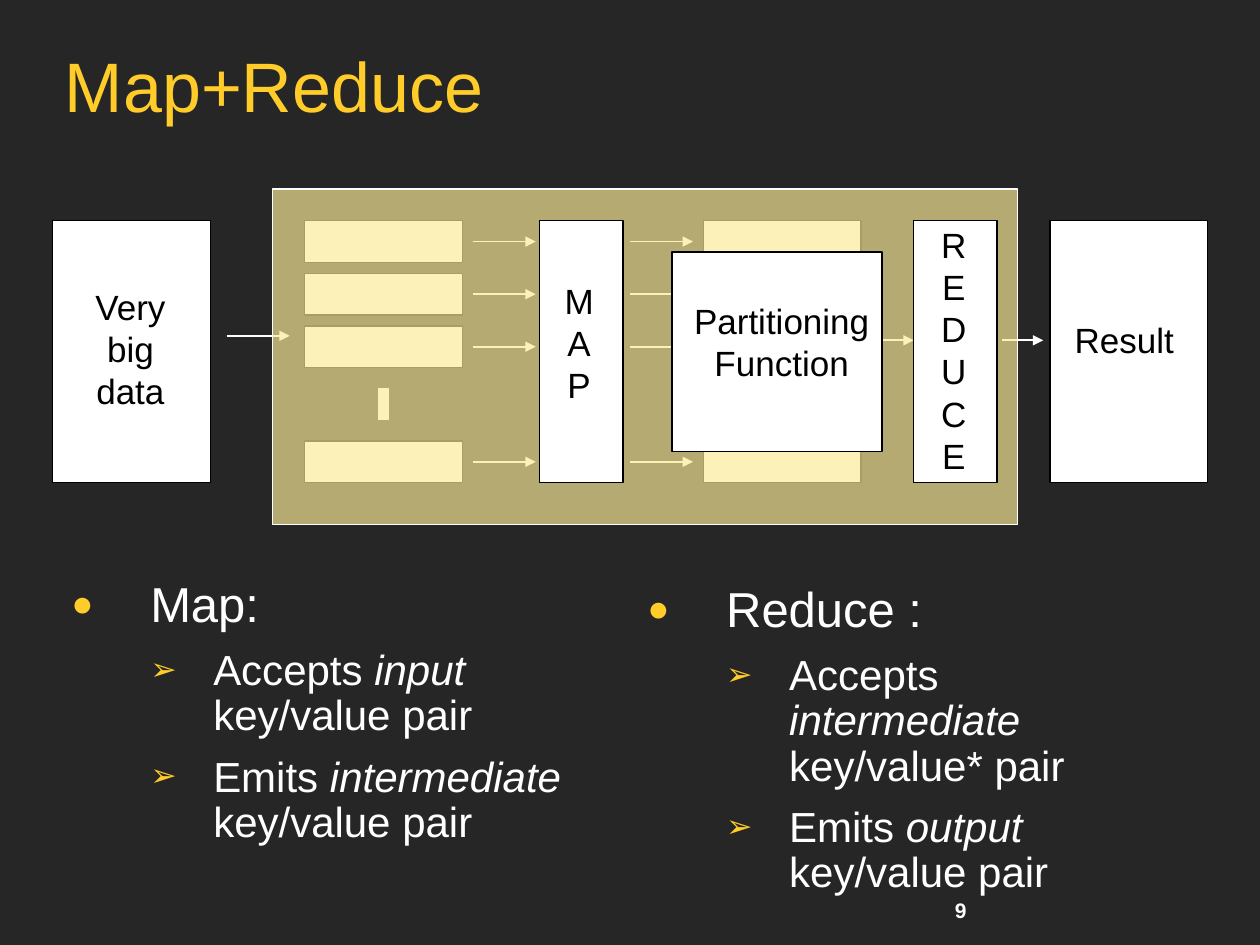
from lxml import etree
from pptx import Presentation
from pptx.dml.color import RGBColor
from pptx.enum.shapes import MSO_CONNECTOR, MSO_SHAPE
from pptx.enum.text import MSO_ANCHOR, PP_ALIGN
from pptx.oxml.ns import qn
from pptx.util import Cm, Pt

STRAIGHT = MSO_CONNECTOR.STRAIGHT
RECT = MSO_SHAPE.RECTANGLE
MIDDLE = MSO_ANCHOR.MIDDLE
CENTER = PP_ALIGN.CENTER

DARK = RGBColor(0x26, 0x26, 0x26)
GOLD = RGBColor(0xFF, 0xCC, 0x29)
CREAM = RGBColor(0xFC, 0xEB, 0x98)
WHITE = RGBColor(0xFF, 0xFF, 0xFF)
BLACK = RGBColor(0x00, 0x00, 0x00)
FONT = "Arial"


def style_run(r, size, color, bold=False, italic=False):
    r.font.name = FONT
    r.font.size = Pt(size)
    r.font.color.rgb = color
    r.font.bold = bold
    r.font.italic = italic


def add_text(slide, box, text, size, color, bold=False, wrap=True):
    tb = slide.shapes.add_textbox(*(Cm(v) for v in box))
    tf = tb.text_frame
    tf.word_wrap = wrap
    tf.text = text
    for p in tf.paragraphs:
        for r in p.runs:
            style_run(r, size, color, bold)
    return tf


def add_box(slide, x, y, w, h, fill=WHITE, line=BLACK):
    sp = slide.shapes.add_shape(RECT, Cm(x), Cm(y), Cm(w), Cm(h))
    sp.shadow.inherit = False
    sp.fill.solid()
    sp.fill.fore_color.rgb = fill
    sp.line.color.rgb = line
    sp.line.width = Pt(0.75)
    return sp


def add_line(slide, x1, y1, x2, y2, width=1, arrow=True):
    cn = slide.shapes.add_connector(STRAIGHT, Cm(x1), Cm(y1), Cm(x2), Cm(y2))
    cn.line.color.rgb = WHITE
    cn.line.width = Pt(width)
    if arrow:
        etree.SubElement(cn.line._get_or_add_ln(), qn("a:tailEnd"), type="triangle")
    etree.SubElement(cn._element.spPr, qn("a:effectLst"))


def add_label(slide, x, y, w, h, text):
    tf = add_text(slide, (x, y, w, h), text, 20, BLACK, wrap=False)
    for p in tf.paragraphs:
        p.alignment = CENTER


def add_title(slide, box, text):
    tf = add_text(slide, box, text, 40, GOLD)
    tf.vertical_anchor = MIDDLE
    tf.paragraphs[0].line_spacing = 0.9


def add_pipeline(slide, left, top):
    chunk_w, chunk_h, tall_top, tall_h = 3.18, 0.84, 0.64, 5.28
    rows = [tall_top + 1.06 * i for i in range(3)] + [5.08]
    split_x, merge_x = 5.08, 13.12

    add_box(slide, left, top + tall_top, chunk_w, tall_h)
    for y in rows:
        add_box(slide, left + split_x, top + y, chunk_w, chunk_h)
    bar_x = left + split_x + chunk_w / 2
    add_line(slide, bar_x, top + 4.02, bar_x, top + 4.66, 6, False)
    for y in (rows[0], rows[-1]):
        add_box(slide, left + merge_x, top + y, chunk_w, chunk_h)

    arrows = [(3.51, 2.96, 1.27)]
    arrows += [(x, y + chunk_h / 2, 1.27) for x in (8.47, 11.64) for y in rows]
    arrows += [(x, 3.05, 0.84) for x in (16.52, 19.13)]
    for x, y, length in arrows:
        add_line(slide, left + x, top + y, left + x + length, top + y)

    add_box(slide, left + 20.11, top + tall_top, chunk_w, tall_h)
    panel = add_box(slide, left + 4.44, top, 15.01, 6.76, CREAM, WHITE)
    color = panel._element.spPr.find(qn("a:solidFill"))[0]
    etree.SubElement(color, qn("a:alpha"), val="67000")
    for x in (9.82, 17.36):
        add_box(slide, left + x, top + tall_top, 1.68, tall_h)

    add_label(slide, left + 0.49, top + 1.83, 2.16, 2.79, "Very\nbig\ndata")
    add_label(slide, left + 20.35, top + 2.49, 2.51, 1.12, "Result")
    add_label(slide, left + 10.07, top + 1.7, 1.09, 2.79, "\n".join("MAP"))
    add_label(slide, left + 17.66, top + 0.58, 1.02, 5.33, "\n".join("REDUCE"))
    add_box(slide, left + 12.49, top + 1.27, 4.23, 4.02)
    add_label(slide, left + 12.68, top + 2.11, 4.04, 1.96, "Partitioning\nFunction")


def add_bullet(p, char, margin, hanging):
    pPr = p._p.get_or_add_pPr()
    pPr.set("marL", str(Cm(margin)))
    pPr.set("indent", str(-Cm(hanging)))
    clr = etree.SubElement(pPr, qn("a:buClr"))
    etree.SubElement(clr, qn("a:srgbClr"), val=str(GOLD))
    etree.SubElement(pPr, qn("a:buSzPct"), val="75000")
    etree.SubElement(pPr, qn("a:buFont"), typeface=FONT)
    etree.SubElement(pPr, qn("a:buChar"), char=char)


def add_bullets(slide, box, heading, items):
    tf = add_text(slide, box, heading, 28, WHITE)
    p = tf.paragraphs[0]
    p.line_spacing = 0.9
    add_bullet(p, "●", 1.59, 1.59)
    for before, stress, after in items:
        p = tf.add_paragraph()
        p.level = 1
        p.line_spacing = 0.9
        p.space_before = Pt(9)
        add_bullet(p, "➢", 2.86, 1.27)
        for text in (before, stress, after):
            r = p.add_run()
            r.text = text
            style_run(r, 24, WHITE, italic=text == stress)


def main():
    prs = Presentation()
    prs.slide_width, prs.slide_height = Cm(25.4), Cm(19.05)
    slide = prs.slides.add_slide(prs.slide_layouts[6])
    slide.background.fill.solid()
    slide.background.fill.fore_color.rgb = DARK

    add_text(slide, (19, 17.96, 1.45, 0.76), "9", 12, WHITE, bold=True)
    add_title(slide, (1.06, 0.84, 23.32, 1.96), "Map+Reduce")
    add_bullets(slide, (1.19, 11.58, 11.2, 6.8), "Map:", [
        ("Accepts ", "input", " key/value pair"),
        ("Emits ", "intermediate", " key/value pair"),
    ])
    add_bullets(slide, (12.8, 11.68, 11.2, 6.48), "Reduce :", [
        ("Accepts ", "intermediate", " key/value* pair"),
        ("Emits ", "output", " key/value pair"),
    ])
    add_pipeline(slide, 1.06, 3.81)
    prs.save("out.pptx")


if __name__ == "__main__":
    main()
